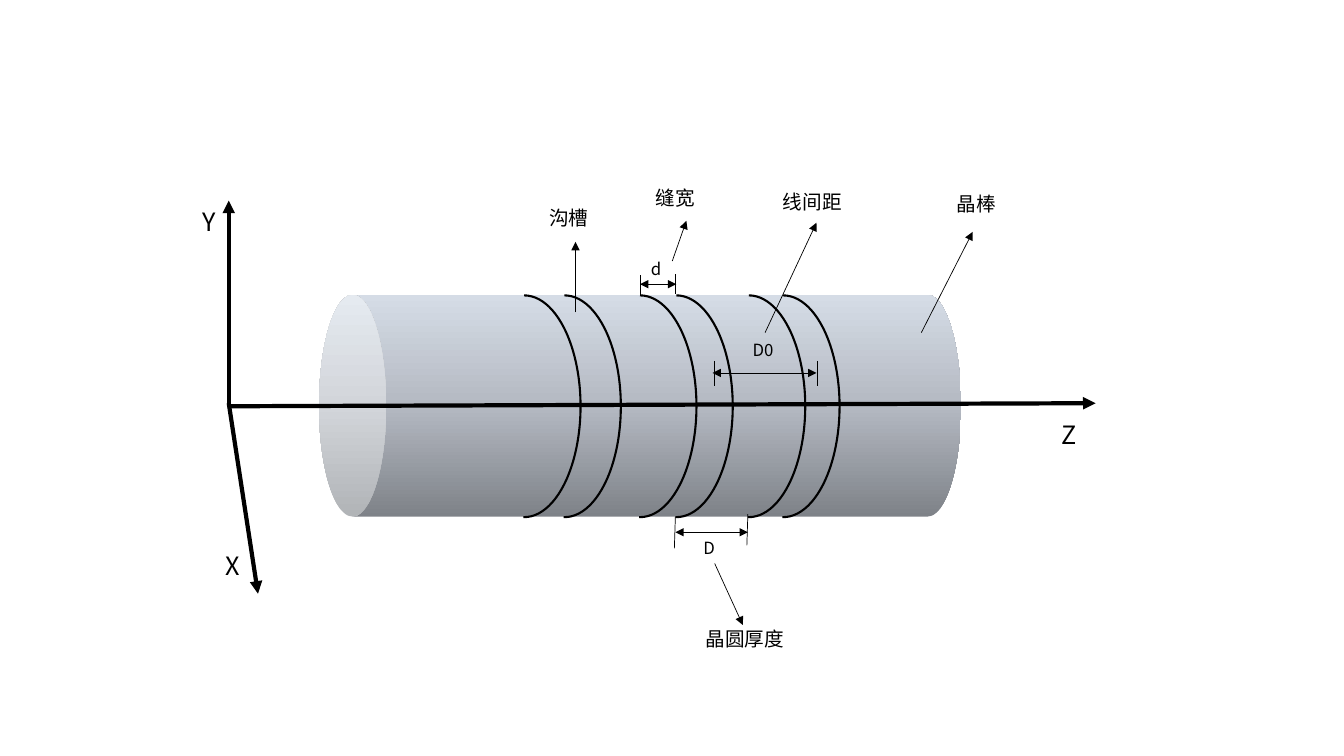
"""Draw a sliced crystal rod with its axes and cutting dimensions."""
from copy import deepcopy
from dataclasses import dataclass

from pptx import Presentation
from pptx.dml.color import RGBColor
from pptx.enum.shapes import MSO_CONNECTOR, MSO_SHAPE
from pptx.enum.text import MSO_ANCHOR, MSO_AUTO_SIZE
from pptx.oxml.ns import qn
from pptx.util import Pt
from lxml import etree

LINE = MSO_CONNECTOR.STRAIGHT
RECT, CAN, ARC = MSO_SHAPE.RECTANGLE, MSO_SHAPE.CAN, MSO_SHAPE.ARC
TOP = MSO_ANCHOR.TOP
GROW = MSO_AUTO_SIZE.SHAPE_TO_FIT_TEXT


@dataclass(frozen=True)
class Theme:
    """Hold the colours, font, type sizes and line widths."""
    ink: RGBColor = RGBColor(0, 0, 0)
    paper: RGBColor = RGBColor(255, 255, 255)
    metal: tuple = ((0, "7E8288"), (0.5, "B4B9C2"), (1, "D5DCE6"))
    font: str = "Noto Sans CJK SC"
    axis: int = 18
    name: int = 14
    size: int = 12
    bold: float = 3
    curve: float = 1.5
    thin: float = 0.5


THEME = Theme()


def add_form(slide, kind, box):
    """Add a preset shape without a shadow."""
    form = slide.shapes.add_shape(kind, *map(Pt, box))
    form.shadow.inherit = False
    return form


def add_panel(slide, box):
    """Add the plain white backing panel."""
    panel = add_form(slide, RECT, box)
    panel.fill.solid()
    panel.fill.fore_color.rgb = THEME.paper
    panel.line.color.rgb = THEME.paper
    panel.line.width = Pt(1)


def add_rod(slide, box):
    """Add the crystal rod as a lying can with a metal gradient."""
    rod = add_form(slide, CAN, box)
    rod.rotation = 270
    rod.adjustments[0] = 0.303
    rod.line.fill.background()
    rod.fill.gradient()
    rod.fill.gradient_angle = 0
    stops = rod.element.spPr.find(".//" + qn("a:gsLst"))
    stops.append(deepcopy(stops[0]))
    for stop, (place, tone) in zip(rod.fill.gradient_stops, THEME.metal):
        stop.position = place
        stop.color.rgb = RGBColor.from_string(tone)


def add_cut(slide, left):
    """Add one curved saw cut across the rod."""
    cut = add_form(slide, ARC, (left, 211, 80.6, 158.4))
    cut.adjustments[0] = 162
    cut.adjustments[1] = 54.26
    cut.fill.background()
    cut.line.color.rgb = THEME.ink
    cut.line.width = Pt(THEME.curve)


def add_line(slide, ends, width=THEME.thin, heads=()):
    """Add a straight line with triangles at the given ends."""
    line = slide.shapes.add_connector(LINE, *map(Pt, ends))
    line.line.color.rgb = THEME.ink
    line.line.width = Pt(width)
    props = line.element.spPr
    for head in heads:
        etree.SubElement(props.find(qn("a:ln")), qn("a:" + head), type="triangle")
    etree.SubElement(props, qn("a:effectLst"))


def add_gauge(slide, left, right, level, ticks):
    """Add a two-headed dimension line between its end ticks."""
    for tick in ticks:
        add_line(slide, tick)
    add_line(slide, (left, level, right, level), heads=("headEnd", "tailEnd"))


def add_label(slide, text, box, size, inset=7.2):
    """Add a short label in the ink colour."""
    label = slide.shapes.add_textbox(*map(Pt, box))
    frame = label.text_frame
    style = {"word_wrap": True, "auto_size": GROW, "vertical_anchor": TOP,
             "margin_left": Pt(inset), "margin_right": Pt(inset)}
    for key, value in style.items():
        setattr(frame, key, value)
    run = frame.paragraphs[0].add_run()
    run.text = text
    for key, value in {"name": THEME.font, "size": Pt(size)}.items():
        setattr(run.font, key, value)
    run.font.color.rgb = THEME.ink
    etree.SubElement(run.font._element, qn("a:ea"), typeface=THEME.font)


def main():
    """Build the slide and save it."""
    deck = Presentation()
    deck.slide_width, deck.slide_height = Pt(960), Pt(540)
    slide = deck.slides.add_slide(deck.slide_layouts[6])

    add_panel(slide, (128.9, 97.9, 673.9, 370.1))
    add_rod(slide, (378, 60.5, 158.4, 458.6))

    axes = ((163.4, 290.2, 782.6, 288), (163.4, 290.2, 163.4, 143.3),
            (163.4, 288, 184.3, 424.1))
    for ends in axes:
        add_line(slide, ends, THEME.bold, ("tailEnd",))

    for left in (334.1, 362.9, 416.9, 442.8, 494.6, 519.1):
        add_cut(slide, left)

    gauges = (
        (457.2, 483.1, 203, ((457.2, 196.6, 457.2, 211), (482.4, 195.8, 482.4, 210.2))),
        (509, 583.2, 266.4, ((510.5, 257.8, 510.5, 275.8), (583.9, 257.8, 583.9, 275.8))),
        (482.4, 534.2, 380.2, ((482.4, 369.4, 481.7, 391.7), (534.2, 367.2, 533.5, 389.5))),
    )
    for gauge in gauges:
        add_gauge(slide, *gauge)

    leads = ((411.1, 223.2, 411.1, 172.8), (480.2, 186.5, 490.3, 157.7),
             (658.1, 237.6, 694.8, 165.6), (546.5, 237.6, 583.2, 159.1),
             (510.5, 402.5, 530.6, 446.4))
    for ends in leads:
        add_line(slide, ends, heads=("tailEnd",))

    add_label(slide, "X", (157.7, 389.5, 12.2, 28.8), THEME.axis, 3.6)
    add_label(slide, "Z", (751, 295.9, 20.9, 30.2), THEME.axis)
    add_label(slide, "Y", (137.5, 144, 36, 28.8), THEME.axis)

    names = (("沟槽", 385.2, 143.3, 57.6), ("缝宽", 461.5, 129.6, 57.6),
             ("晶棒", 676.1, 133.9, 56.9), ("线间距", 552.2, 131.8, 72.7),
             ("晶圆厚度", 496.8, 444.2, 86.4))
    for text, left, top, width in names:
        add_label(slide, text, (left, top, width, 24.5), THEME.name)

    sizes = (("d", 457.9, 181.4, 23), ("D0", 530.6, 239, 31),
             ("D", 495.4, 380.9, 30.2))
    for text, left, top, width in sizes:
        add_label(slide, text, (left, top, width, 21.6), THEME.size)

    deck.save("out.pptx")


if __name__ == "__main__":
    main()
